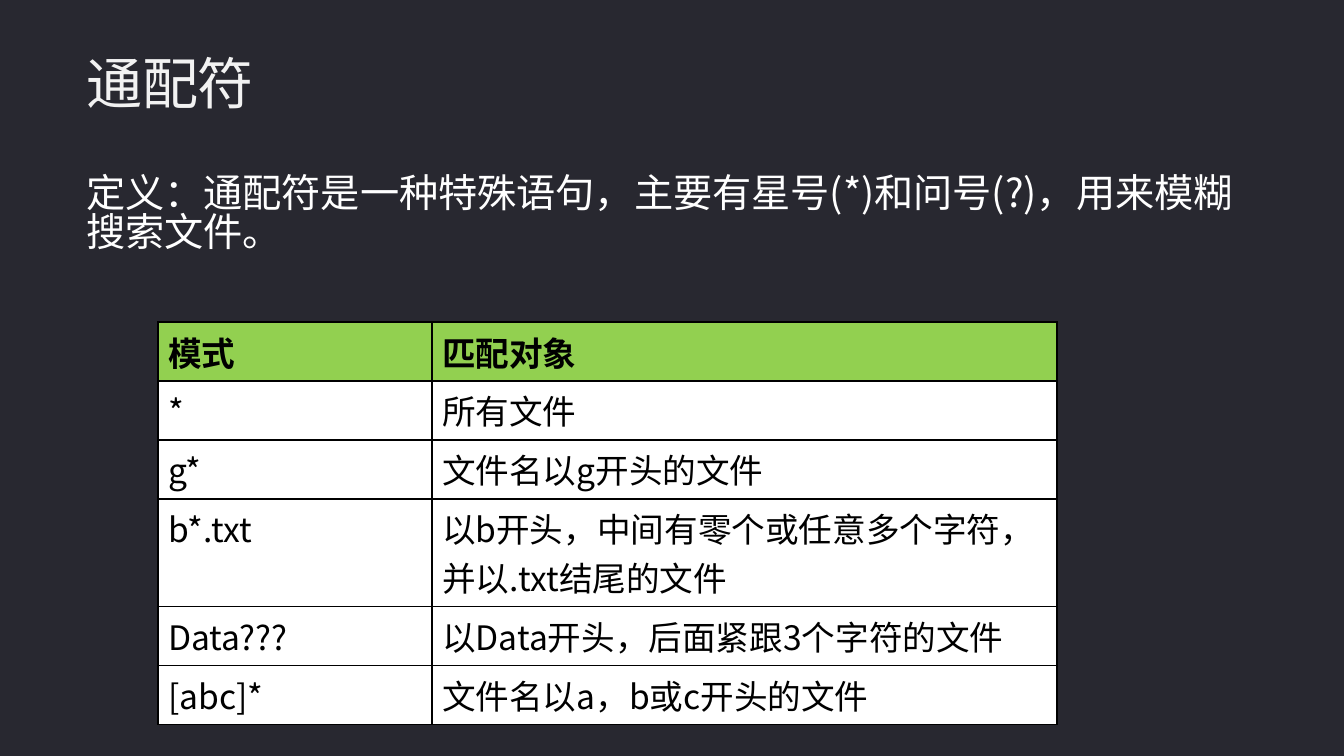
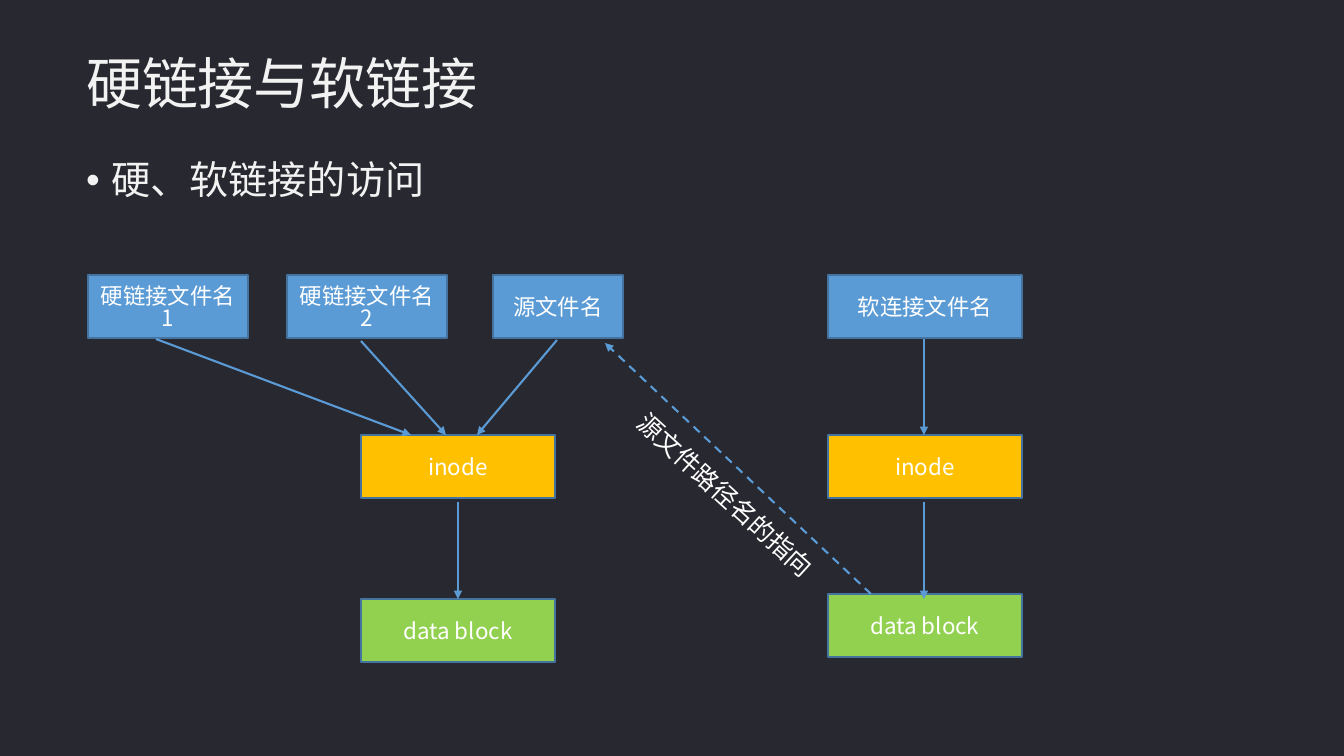
from lxml.etree import SubElement
from pptx import Presentation
from pptx.dml.color import RGBColor
from pptx.enum.dml import MSO_LINE_DASH_STYLE as Dash
from pptx.enum.shapes import MSO_CONNECTOR as Connector, MSO_SHAPE as Shape
from pptx.enum.text import MSO_ANCHOR as Anchor, MSO_AUTO_SIZE as AutoSize, PP_ALIGN as Align
from pptx.oxml.ns import qn
from pptx.util import Emu, Inches, Pt

FONT = "Noto Sans CJK SC"
COLORS = {
    "background": "282830", "title": "F2F2F2", "white": "FFFFFF", "black": "000000",
    "green": "92D050", "amber": "FFC000", "blue": "5B9BD5", "outline": "43739E",
}

WILDCARD_TITLE = "通配符"
DEFINITION = "定义：通配符是一种特殊语句，主要有星号(*)和问号(?)，用来模糊搜索文件。"
PATTERNS = [
    ("模式", "匹配对象"),
    ("*", "所有文件"),
    ("g*", "文件名以g开头的文件"),
    ("b*.txt", "以b开头，中间有零个或任意多个字符，\n并以.txt结尾的文件"),
    ("Data???", "以Data开头，后面紧跟3个字符的文件"),
    ("[abc]*", "文件名以a，b或c开头的文件"),
]
TABLE_LEFT, TABLE_TOP = 158, 322
COLUMN_WIDTHS = (274, 625)
ROW_HEIGHT, EXTRA_LINE = 59, 48

LINK_TITLE = "硬链接与软链接"
LINK_TOPIC = "硬、软链接的访问"
POINTER_LABEL = "源文件路径名的指向"
NAME_TOP, INODE_TOP, BOX_HEIGHT = 275, 435, 63
HARD_LEFT, SOFT_LEFT, NODE_WIDTH = 361, 828, 194
BOXES = [
    ("硬链接文件名1", 88, NAME_TOP, 160, "blue"),
    ("硬链接文件名2", 287, NAME_TOP, 160, "blue"),
    ("源文件名", 493, NAME_TOP, 130, "blue"),
    ("软连接文件名", SOFT_LEFT, NAME_TOP, NODE_WIDTH, "blue"),
    ("inode", HARD_LEFT, INODE_TOP, NODE_WIDTH, "amber"),
    ("inode", SOFT_LEFT, INODE_TOP, NODE_WIDTH, "amber"),
    ("data block", HARD_LEFT, 599, NODE_WIDTH, "green"),
    ("data block", SOFT_LEFT, 594, NODE_WIDTH, "green"),
]
ARROWS = [
    (156, 339, 411, INODE_TOP),
    (361, 341, 446, INODE_TOP),
    (557, 340, 477, INODE_TOP),
    (924, 339, 924, INODE_TOP),
    (924, 502, 924, 599),
    (458, 502, 458, 599),
]
POINTER = (871, 594, 605, 343)

SCALE = Inches(1) / 100.8


def px(length):
    return Emu(round(length * SCALE))


def color(name):
    return RGBColor.from_string(COLORS[name])


def place(shape, left, top, width, height):
    shape.left, shape.top = px(left), px(top)
    shape.width, shape.height = px(width), px(height)


def write(text_frame, text, size, color_name, bold=False, align=Align.LEFT, spacing=1.0):
    text_frame.text = text
    for paragraph in text_frame.paragraphs:
        paragraph.alignment = align
        paragraph.line_spacing = spacing
        paragraph.space_before = Pt(0)
        for run in paragraph.runs:
            run.font.size = Pt(size)
            run.font.bold = bold
            run.font.color.rgb = color(color_name)
            run.font.name = FONT
            SubElement(run._r.get_or_add_rPr(), qn("a:ea"), typeface=FONT)


def add_slide(title, body, body_box, body_color, spacing, bullet=None):
    slide = presentation.slides.add_slide(presentation.slide_layouts[1])
    heading, content = slide.placeholders
    place(heading, 76, 51, 857, 105)
    place(content, *body_box)
    write(heading.text_frame, title, 40, "title", spacing=0.9)
    write(content.text_frame, body, 28, body_color, spacing=spacing)
    for shape in (heading, content):
        shape.text_frame.auto_size = AutoSize.NONE
        shape.text_frame.vertical_anchor = Anchor.TOP
    properties = content.text_frame.paragraphs[0]._p.get_or_add_pPr()
    indent = Inches(0.25) if bullet else 0
    properties.set("marL", str(indent))
    properties.set("indent", str(-indent))
    if bullet:
        SubElement(properties, qn("a:buChar"), char=bullet)
    else:
        SubElement(properties, qn("a:buNone"))
    return slide


def add_borders(cell):
    properties = cell._tc.get_or_add_tcPr()
    for side in ("lnL", "lnR", "lnT", "lnB"):
        line = SubElement(properties, qn("a:" + side), w=str(Pt(1)))
        fill = SubElement(line, qn("a:solidFill"))
        SubElement(fill, qn("a:srgbClr"), val=COLORS["black"])


def add_pattern_table(slide):
    heights = [ROW_HEIGHT + EXTRA_LINE * match.count("\n") for _, match in PATTERNS]
    table = slide.shapes.add_table(
        len(PATTERNS), len(COLUMN_WIDTHS), px(TABLE_LEFT), px(TABLE_TOP),
        px(sum(COLUMN_WIDTHS)), px(sum(heights))).table
    for column, width in zip(table.columns, COLUMN_WIDTHS):
        column.width = px(width)
    for index, (row, height, texts) in enumerate(zip(table.rows, heights, PATTERNS)):
        row.height = px(height)
        is_header = index == 0
        for cell, text in zip(row.cells, texts):
            write(cell.text_frame, text, 24, "black", bold=is_header)
            add_borders(cell)
            cell.fill.solid()
            cell.fill.fore_color.rgb = color("green" if is_header else "white")


def add_box(slide, text, left, top, width, fill):
    box = slide.shapes.add_shape(Shape.RECTANGLE, px(left), px(top), px(width), px(BOX_HEIGHT))
    box.shadow.inherit = False
    box.fill.solid()
    box.fill.fore_color.rgb = color(fill)
    box.line.color.rgb = color("outline")
    box.line.width = Pt(1)
    frame = box.text_frame
    frame.word_wrap = True
    frame.vertical_anchor = Anchor.MIDDLE
    frame.margin_top, frame.margin_bottom = px(5), 0
    write(frame, text, 16, "white", align=Align.CENTER, spacing=0.83)


def add_arrow(slide, points, dash=None):
    arrow = slide.shapes.add_connector(Connector.STRAIGHT, *map(px, points))
    arrow.line.color.rgb = color("blue")
    arrow.line.width = Pt(1.5)
    if dash:
        arrow.line.dash_style = dash
    SubElement(arrow.line._get_or_add_ln(), qn("a:tailEnd"), type="triangle")
    SubElement(arrow._element.spPr, qn("a:effectLst"))


def add_pointer_label(slide):
    label = slide.shapes.add_textbox(px(601), px(475), px(249), px(40))
    label.rotation = 42.5
    label.text_frame.word_wrap = False
    label.text_frame.vertical_anchor = Anchor.MIDDLE
    write(label.text_frame, POINTER_LABEL, 18, "white", align=Align.CENTER)


presentation = Presentation()
presentation.slide_width, presentation.slide_height = px(1344), px(756)
background = presentation.slide_master.background.fill
background.solid()
background.fore_color.rgb = color("background")

wildcard_slide = add_slide(WILDCARD_TITLE, DEFINITION, (76, 172, 1179, 105), "white", 0.82)
add_pattern_table(wildcard_slide)

link_slide = add_slide(LINK_TITLE, LINK_TOPIC, (76, 156, 1257, 454), "title", 0.9, "•")
for box in BOXES:
    add_box(link_slide, *box)
for arrow in ARROWS:
    add_arrow(link_slide, arrow)
add_arrow(link_slide, POINTER, Dash.DASH)
add_pointer_label(link_slide)

presentation.save("out.pptx")
